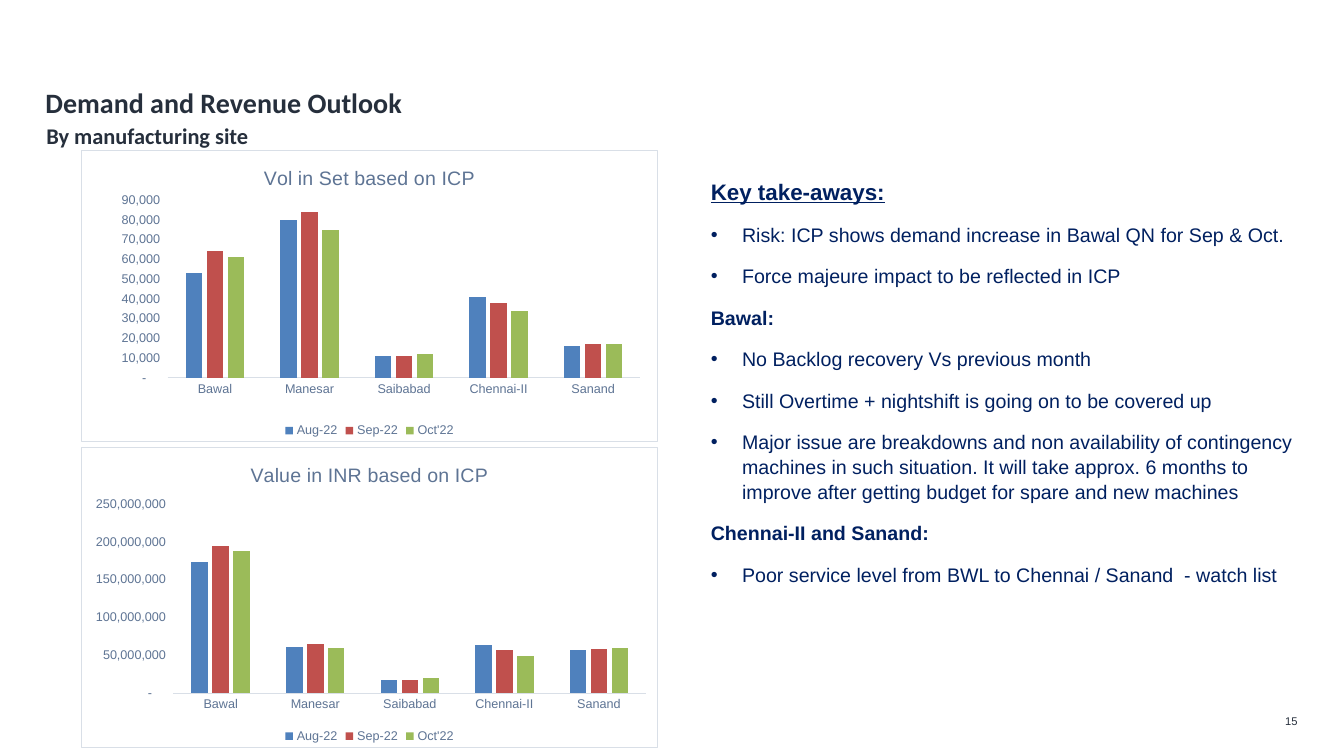
"""Build the demand and revenue outlook slide."""
from dataclasses import dataclass

import lxml.etree
import pptx
import pptx.chart.chart
import pptx.chart.data
import pptx.dml.color
import pptx.enum.chart
import pptx.enum.text
import pptx.oxml
import pptx.oxml.ns
import pptx.slide
import pptx.text.text
import pptx.util

Inches = pptx.util.Inches
Pt = pptx.util.Pt
COLORS = {"ink": "262F3C", "navy": "002060", "slate": "5E7494", "rule": "D9DFE7", "paper": "FFFFFF"}
MONTHS = {"Aug-22": "4F81BD", "Sep-22": "C0504D", "Oct'22": "9BBB59"}
SITES = ["Bawal", "Manesar", "Saibabad", "Chennai-II", "Sanand"]
FORMAT = '_-* #,##0_-;\\-* #,##0_-;_-* "-"??_-;_-@_'


@dataclass
class Graph:
    """Hold one column chart."""
    title: str
    top: float
    height: float
    peak: int
    step: int
    plot: tuple[float, float, float, float]
    rows: list[list[int]]


@dataclass
class Line:
    """Hold one line of the take-aways."""
    text: str
    head: bool = False
    size: int = 14
    under: bool = False


GRAPHS = [
    Graph("Value in INR based on ICP", 4.43, 2.99, 250_000_000, 50_000_000, (0.16, 0.19, 0.82, 0.63), [
        [173_000_000, 61_000_000, 18_000_000, 64_000_000, 57_000_000],
        [195_000_000, 65_000_000, 18_000_000, 57_000_000, 58_000_000],
        [188_000_000, 60_000_000, 20_000_000, 49_000_000, 60_000_000]]),
    Graph("Vol in Set based on ICP", 1.49, 2.9, 90_000, 10_000, (0.15, 0.17, 0.82, 0.61), [
        [53_000, 80_000, 11_000, 41_000, 16_000],
        [64_000, 84_000, 11_000, 38_000, 17_000],
        [61_000, 75_000, 12_000, 34_000, 17_000]]),
]
LINES = [
    Line("Key take-aways:", True, 16, True),
    Line("Risk: ICP shows demand increase in Bawal QN for Sep & Oct."),
    Line("Force majeure impact to be reflected in ICP"),
    Line("Bawal:", True),
    Line("No Backlog recovery Vs previous month"),
    Line("Still Overtime + nightshift is going on to be covered up"),
    Line("Major issue are breakdowns and non availability of contingency machines in such situation. "
         "It will take approx. 6 months to improve after getting budget for spare and new machines"),
    Line("Chennai-II and Sanand:", True),
    Line("Poor service level from BWL to Chennai / Sanand  - watch list"),
]


def tint(name: str) -> pptx.dml.color.RGBColor:
    """Return a colour by name or hex."""
    return pptx.dml.color.RGBColor.from_string(COLORS.get(name, name))


def style(font: pptx.text.text.Font, size: float, color: str, face: str = "Arial", bold: bool = False) -> None:
    """Set the look of a font."""
    font.name, font.size, font.bold = face, Pt(size), bold
    font.color.rgb = tint(color)


def clear(frame: pptx.text.text.TextFrame, wrap: bool = True) -> None:
    """Drop the margins and start text at the top."""
    frame.margin_left = frame.margin_right = frame.margin_top = frame.margin_bottom = 0
    frame.vertical_anchor = pptx.enum.text.MSO_ANCHOR.TOP
    frame.auto_size = pptx.enum.text.MSO_AUTO_SIZE.NONE
    frame.word_wrap = wrap


def write(par: pptx.text.text._Paragraph, text: str, size: float, color: str,
          face: str = "Arial", bold: bool = False) -> pptx.text.text._Run:
    """Add one styled run."""
    run = par.add_run()
    run.text = text
    style(run.font, size, color, face, bold)
    return run


def label(slide: pptx.slide.Slide, box: tuple[float, float, float, float],
          wrap: bool = True) -> pptx.text.text.TextFrame:
    """Add a text box without margins."""
    frame = slide.shapes.add_textbox(*map(Inches, box)).text_frame
    clear(frame, wrap)
    return frame


def bullet(par: pptx.text.text._Paragraph) -> None:
    """Give a paragraph a hanging bullet."""
    props = par._p.get_or_add_pPr()
    props.set("marL", str(Inches(0.31)))
    props.set("indent", str(-Inches(0.31)))
    tag = pptx.oxml.ns.qn
    lxml.etree.SubElement(props, tag("a:buFont")).set("typeface", "Arial")
    lxml.etree.SubElement(props, tag("a:buChar")).set("char", "•")


def notes(slide: pptx.slide.Slide) -> None:
    """Write the key take-aways."""
    frame = label(slide, (7.05, 1.75, 6.05, 5.05))
    for spot, line in enumerate(LINES):
        par = frame.add_paragraph() if spot else frame.paragraphs[0]
        par.space_before = Pt(6 if spot else 0)
        par.space_after = Pt(6)
        par.line_spacing = 1.05
        if not line.head:
            bullet(par)
        run = write(par, line.text, line.size, "navy", bold=line.head)
        run.font.underline = line.under


def frame_plot(chart: pptx.chart.chart.Chart, plot: tuple[float, float, float, float]) -> None:
    """Place the plot and outline the chart."""
    tag = pptx.oxml.ns.qn
    area = chart._chartSpace.chart.plotArea
    for old in area.findall(tag("c:layout")):
        area.remove(old)
    layout = lxml.etree.Element(tag("c:layout"))
    area.insert(0, layout)
    manual = lxml.etree.SubElement(layout, tag("c:manualLayout"))
    parts = {"layoutTarget": "inner", "xMode": "edge", "yMode": "edge", **dict(zip("xywh", plot))}
    for name, value in parts.items():
        lxml.etree.SubElement(manual, tag(f"c:{name}")).set("val", str(value))
    chart._chartSpace.chart.addnext(pptx.oxml.parse_xml(
        f'<c:spPr {pptx.oxml.ns.nsdecls("c", "a")}>'
        f'<a:solidFill><a:srgbClr val="{COLORS["paper"]}"/></a:solidFill>'
        f'<a:ln w="{Pt(0.75)}"><a:solidFill><a:srgbClr val="{COLORS["rule"]}"/></a:solidFill></a:ln></c:spPr>'))


def draw(slide: pptx.slide.Slide, graph: Graph) -> None:
    """Draw one column chart."""
    kinds = pptx.enum.chart
    data = pptx.chart.data.CategoryChartData(number_format=FORMAT)
    data.categories = SITES
    for month, row in zip(MONTHS, graph.rows):
        data.add_series(month, row)
    chart = slide.shapes.add_chart(
        kinds.XL_CHART_TYPE.COLUMN_CLUSTERED, Inches(0.8), Inches(graph.top),
        Inches(5.73), Inches(graph.height), data).chart
    style(chart.font, 10, "ink")
    frame_plot(chart, graph.plot)
    chart.has_title = True
    write(chart.chart_title.text_frame.paragraphs[0], graph.title, 14, "slate")
    chart.chart_title.include_in_layout = False
    chart.has_legend = True
    chart.legend.position = kinds.XL_LEGEND_POSITION.BOTTOM
    chart.legend.include_in_layout = False
    style(chart.legend.font, 9, "slate")
    plot = chart.plots[0]
    plot.gap_width, plot.overlap, plot.vary_by_categories = 219, -27, False
    for bar, color in zip(plot.series, MONTHS.values()):
        bar.format.fill.solid()
        bar.format.fill.fore_color.rgb = tint(color)
    for axis in (chart.category_axis, chart.value_axis):
        axis.has_major_gridlines = False
        axis.major_tick_mark = axis.minor_tick_mark = kinds.XL_TICK_MARK.NONE
        style(axis.tick_labels.font, 9, "slate")
    rule = chart.category_axis.format.line
    rule.color.rgb, rule.width = tint("rule"), Pt(0.75)
    scale = chart.value_axis
    scale.format.line.fill.background()
    scale.minimum_scale, scale.maximum_scale, scale.major_unit = 0, graph.peak, graph.step
    scale.tick_labels.number_format = FORMAT
    scale.tick_labels.number_format_is_linked = False


def main() -> None:
    """Build and save the slide."""
    deck = pptx.Presentation()
    deck.slide_width, deck.slide_height = Inches(13.33), Inches(7.5)
    slide = deck.slides.add_slide(deck.slide_layouts[5])
    title = slide.shapes.title
    title.left, title.top, title.width, title.height = map(Inches, (0.45, 0.85, 12.4, 0.28))
    clear(title.text_frame)
    head = title.text_frame.paragraphs[0]
    head.alignment = pptx.enum.text.PP_ALIGN.LEFT
    write(head, "Demand and Revenue Outlook", 20, "ink", "Calibri", True)
    under = label(slide, (0.46, 1.21, 12.4, 0.28))
    write(under.paragraphs[0], "By manufacturing site", 16, "ink", "Calibri", True)
    notes(slide)
    for graph in GRAPHS:
        draw(slide, graph)
    count = label(slide, (12.73, 7.09, 0.14, 0.13), False).paragraphs[0]
    count.alignment = pptx.enum.text.PP_ALIGN.RIGHT
    write(count, "15", 8, "ink")
    deck.save("out.pptx")


if __name__ == "__main__":
    main()
